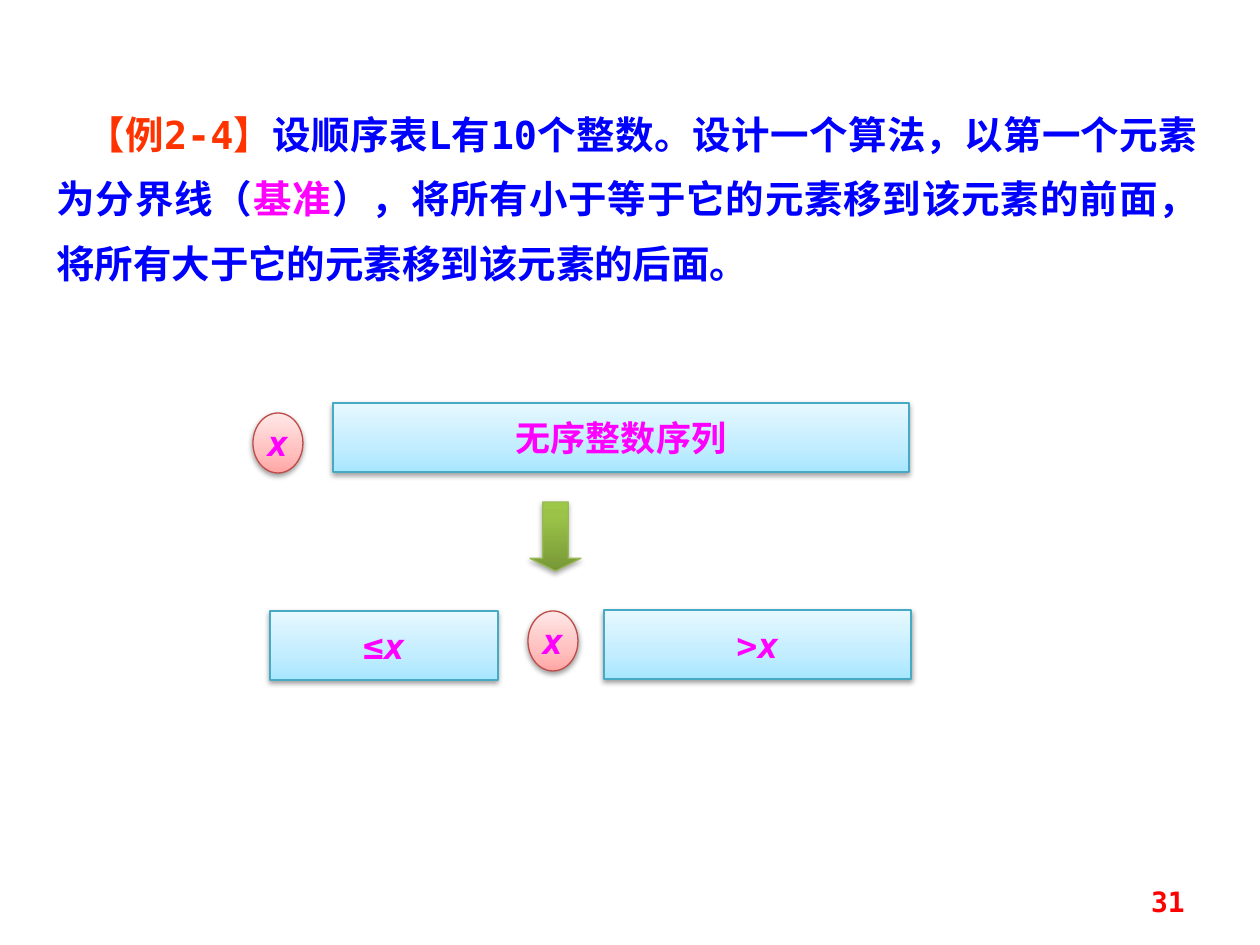
import copy

import lxml.etree
import pptx
import pptx.dml.color
import pptx.enum.lang
import pptx.enum.shapes
import pptx.enum.text
import pptx.oxml.ns
import pptx.util

PX = 914400 / 126  # EMU in one px
FONT = "DejaVu Sans Mono"
COLORS = {
    "text": "0000FF", "label": "FF3300", "accent": "FF00FF", "number": "FF0000",
    "pivot_line": "BF4C48", "list_line": "46AAC5", "arrow_line": "98B955",
    "shadow": "000000",
}
GRADIENTS = {
    "pivot": [(0, "FFA6A5"), (0.35, "FFC0BF"), (1, "FFE7E7")],
    "list": [(0, "A7E6FF"), (0.35, "C1EDFF"), (1, "E7F8FF")],
    "arrow": [(0, "779737"), (0.8, "9BC348"), (1, "9DC746")],
}
SHAPE = pptx.enum.shapes.MSO_SHAPE
ALIGN = pptx.enum.text.PP_ALIGN
ANCHOR = pptx.enum.text.MSO_ANCHOR
qn = pptx.oxml.ns.qn


def emu(*lengths):
    return [pptx.util.Emu(round(n * PX)) for n in lengths]


def rgb(name):
    return pptx.dml.color.RGBColor.from_string(COLORS.get(name, name))


def add_run(p, text, size, color, italic=None):
    r = p.add_run()
    r.text = text
    r.font.name = FONT
    r.font.size = pptx.util.Pt(size)
    r.font.bold = True
    r.font.italic = italic
    r.font.color.rgb = rgb(color)
    r.font.language_id = pptx.enum.lang.MSO_LANGUAGE_ID.SIMPLIFIED_CHINESE


def add_shadow(s, alpha):
    s.shadow.inherit = False
    effects = s._element.spPr.find(qn("a:effectLst"))
    shadow = lxml.etree.SubElement(
        effects, qn("a:outerShdw"), blurRad="39370", dist="20320",
        dir="5400000", rotWithShape="0")
    color = lxml.etree.SubElement(shadow, qn("a:srgbClr"), val=COLORS["shadow"])
    lxml.etree.SubElement(color, qn("a:alpha"), val=str(alpha * 1000))


def add_glossy(slide, preset, box, kind, alpha=38):
    """Add a shape with a vertical three-stop gradient and a soft shadow."""
    s = slide.shapes.add_shape(preset, *emu(*box))
    s.fill.gradient()
    s.fill.gradient_angle = 90
    stops = s._element.spPr.find(".//" + qn("a:gsLst"))
    stops.append(copy.deepcopy(stops[-1]))
    for stop, (position, color) in zip(s.fill.gradient_stops, GRADIENTS[kind]):
        stop.position = position
        stop.color.rgb = rgb(color)
    s.line.color.rgb = rgb(kind + "_line")
    s.line.width = pptx.util.Pt(0.75)
    add_shadow(s, alpha)
    return s


def add_labelled(slide, preset, box, kind, runs):
    s = add_glossy(slide, preset, box, kind)
    tf = s.text_frame
    tf.word_wrap = False
    tf.vertical_anchor = ANCHOR.MIDDLE
    p = tf.paragraphs[0]
    p.alignment = ALIGN.CENTER
    for text, italic in runs:
        add_run(p, text, 20, "accent", italic)


def add_pivot(slide, x, y):
    add_labelled(slide, SHAPE.OVAL, (x, y, 50, 60), "pivot", [("x", True)])


def add_list(slide, x, y, width, runs):
    add_labelled(slide, SHAPE.RECTANGLE, (x, y, width, 69), "list", runs)


def add_text(slide, box):
    tf = slide.shapes.add_textbox(*emu(*box)).text_frame
    tf.word_wrap = True
    return tf


def problem(slide, x, y, w, h):
    p = add_text(slide, (x, y, w, h)).paragraphs[0]
    p.alignment = ALIGN.JUSTIFY
    p.line_spacing = 1.4
    p._p.get_or_add_pPr().set("indent", str(emu(30)[0]))
    for text, color in [
        ("【例2-4】", "label"),
        ("设顺序表L有10个整数。设计一个算法，以第一个元素为分界线（", "text"),
        ("基准", "accent"),
        ("），将所有小于等于它的元素移到该元素的前面，将所有大于它的元素移到该元素的后面。", "text"),
    ]:
        add_run(p, text, 22, color)


def partition_diagram(slide, x, y):
    # Unsorted list with its pivot
    add_pivot(slide, x, y + 10)
    add_list(slide, x + 80, y, 576, [("无序整数序列", None)])
    # Partition step
    add_glossy(slide, SHAPE.DOWN_ARROW, (x + 277, y + 99, 51, 69), "arrow", 35).adjustments[1] = 0.25
    # Smaller elements, pivot, larger elements
    add_list(slide, x + 17, y + 208, 228, [("≤", None), ("x", True)])
    add_pivot(slide, x + 275, y + 208)
    add_list(slide, x + 351, y + 207, 307, [(">", None), ("x", True)])


def page_number(slide, x, y, w, h):
    tf = add_text(slide, (x, y, w, h))
    tf.vertical_anchor = ANCHOR.MIDDLE
    p = tf.paragraphs[0]
    p.alignment = ALIGN.RIGHT
    add_run(p, "31", 16, "number")


def main():
    prs = pptx.Presentation()
    prs.slide_width, prs.slide_height = emu(1260, 945)
    slide = prs.slides.add_slide(prs.slide_layouts[6])
    problem(slide, 44, 86, 1166, 202)
    partition_diagram(slide, 253, 403)
    page_number(slide, 903, 876, 294, 50)
    prs.save("out.pptx")


if __name__ == "__main__":
    main()
